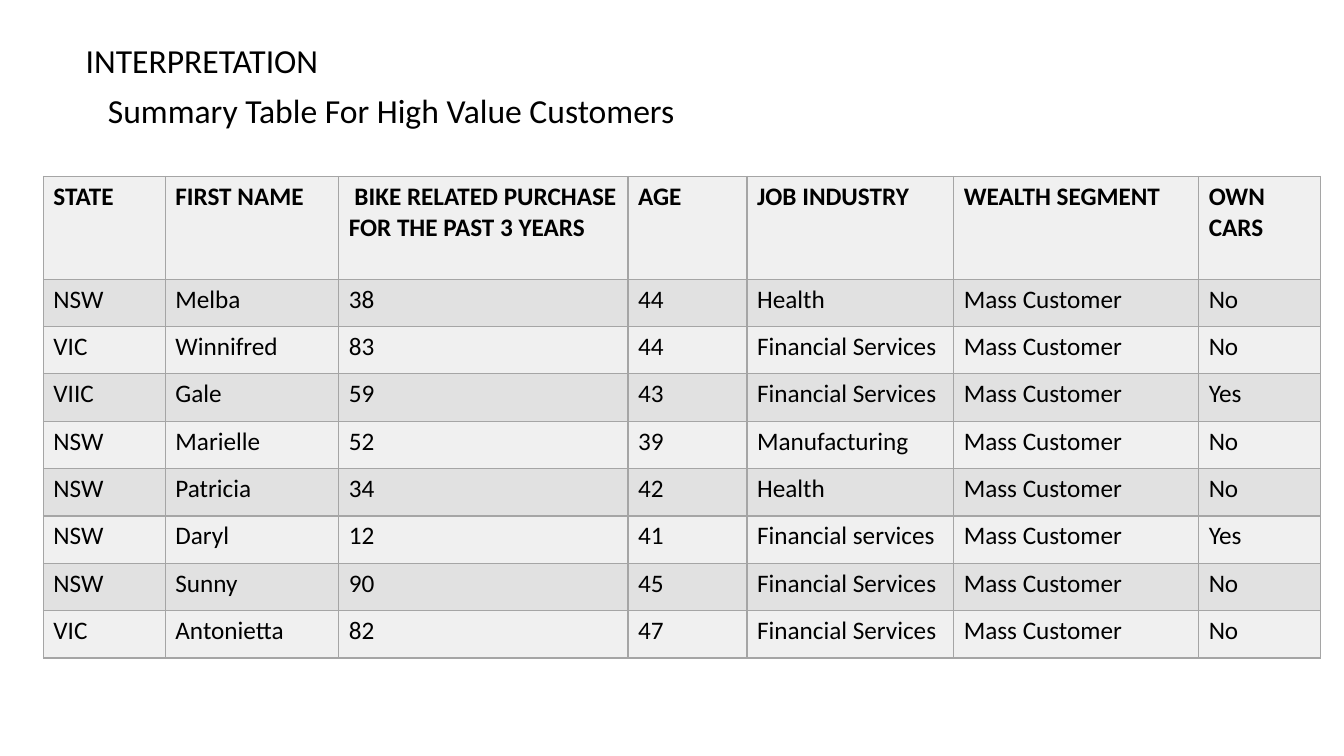
from lxml.etree import SubElement
from pptx import Presentation
from pptx.dml.color import RGBColor
from pptx.enum.text import MSO_AUTO_SIZE as AutoSize, MSO_VERTICAL_ANCHOR as Anchor, PP_ALIGN as Align
from pptx.oxml.ns import qn
from pptx.util import Inches, Pt

HEADINGS = [("INTERPRETATION", 0.16), ("Summary Table For High Value Customers", 0.38)]
COLUMN_WIDTHS = [1.21, 1.72, 2.87, 1.18, 2.05, 2.43, 1.21]
HEADER_HEIGHT, ROW_HEIGHT = 1.02, 0.47
HEADER = ["STATE", "FIRST NAME", " BIKE RELATED PURCHASE FOR THE PAST 3 YEARS", "AGE",
          "JOB INDUSTRY", "WEALTH SEGMENT", "OWN CARS"]
SEGMENT = "Mass Customer"
CUSTOMERS = [
    ["NSW", "Melba", "38", "44", "Health", SEGMENT, "No"],
    ["VIC", "Winnifred", "83", "44", "Financial Services", SEGMENT, "No"],
    ["VIIC", "Gale", "59", "43", "Financial Services", SEGMENT, "Yes"],
    ["NSW", "Marielle", "52", "39", "Manufacturing", SEGMENT, "No"],
    ["NSW", "Patricia", "34", "42", "Health", SEGMENT, "No"],
    ["NSW", "Daryl", "12", "41", "Financial services", SEGMENT, "Yes"],
    ["NSW", "Sunny", "90", "45", "Financial Services", SEGMENT, "No"],
    ["VIC", "Antonietta", "82", "47", "Financial Services", SEGMENT, "No"],
]
BAND_FILLS = ["F0F0F0", "E1E1E1"]
BORDER = "A5A5A5"
HEADING_FONT = {"name": "Calibri", "size": Pt(24)}
CELL_FONT = {"name": "Calibri", "size": Pt(18)}
HEADING_SPACING = {"alignment": Align.LEFT, "line_spacing": 0.9, "space_before": Pt(10)}


def color(value):
    return RGBColor.from_string(value)


def apply_format(target, values):
    for name, value in values.items():
        setattr(target, name, value)


def add_span(para, text, font):
    span = para.add_run()
    span.text = text
    apply_format(span.font, font)
    span.font.color.rgb = color("000000")


def add_headings(page):
    title = page.shapes.title
    title.element.getparent().remove(title.element)
    box = page.placeholders[1]
    apply_format(box, {"left": Inches(0.59), "top": Inches(0.39),
                       "width": Inches(11.08), "height": Inches(5.36)})
    frame = box.text_frame
    apply_format(frame, {"word_wrap": True, "auto_size": AutoSize.NONE,
                         "vertical_anchor": Anchor.TOP})
    for index, (text, indent) in enumerate(HEADINGS):
        para = frame.add_paragraph() if index else frame.paragraphs[0]
        apply_format(para, HEADING_SPACING)
        properties = para._p.get_or_add_pPr()
        properties.set("marL", str(Inches(indent)))
        properties.set("indent", "0")
        add_span(para, text, HEADING_FONT)


def add_borders(cell):
    properties = cell._tc.get_or_add_tcPr()
    for side in ("lnL", "lnR", "lnT", "lnB"):
        line = SubElement(properties, qn(f"a:{side}"), w=str(Pt(1)))
        fill = SubElement(line, qn("a:solidFill"))
        SubElement(fill, qn("a:srgbClr"), val=BORDER)


def format_cell(cell, text, fill, bold):
    add_borders(cell)
    cell.fill.solid()
    cell.fill.fore_color.rgb = color(fill)
    add_span(cell.text_frame.paragraphs[0], text, {**CELL_FONT, "bold": bold})


def add_customer_table(page):
    rows = [HEADER] + CUSTOMERS
    heights = [HEADER_HEIGHT] + [ROW_HEIGHT] * len(CUSTOMERS)
    table = page.shapes.add_table(
        len(rows), len(HEADER), Inches(0.43), Inches(1.75),
        Inches(sum(COLUMN_WIDTHS)), Inches(sum(heights))).table
    for column, width in zip(table.columns, COLUMN_WIDTHS):
        column.width = Inches(width)
    for index, (values, height) in enumerate(zip(rows, heights)):
        table.rows[index].height = Inches(height)
        for cell, text in zip(table.rows[index].cells, values):
            format_cell(cell, text, BAND_FILLS[index % 2], index == 0)


def main():
    deck = Presentation()
    apply_format(deck, {"slide_width": Inches(13.33), "slide_height": Inches(7.5)})
    page = deck.slides.add_slide(deck.slide_layouts[0])
    add_headings(page)
    add_customer_table(page)
    deck.save("out.pptx")


if __name__ == "__main__":
    main()
